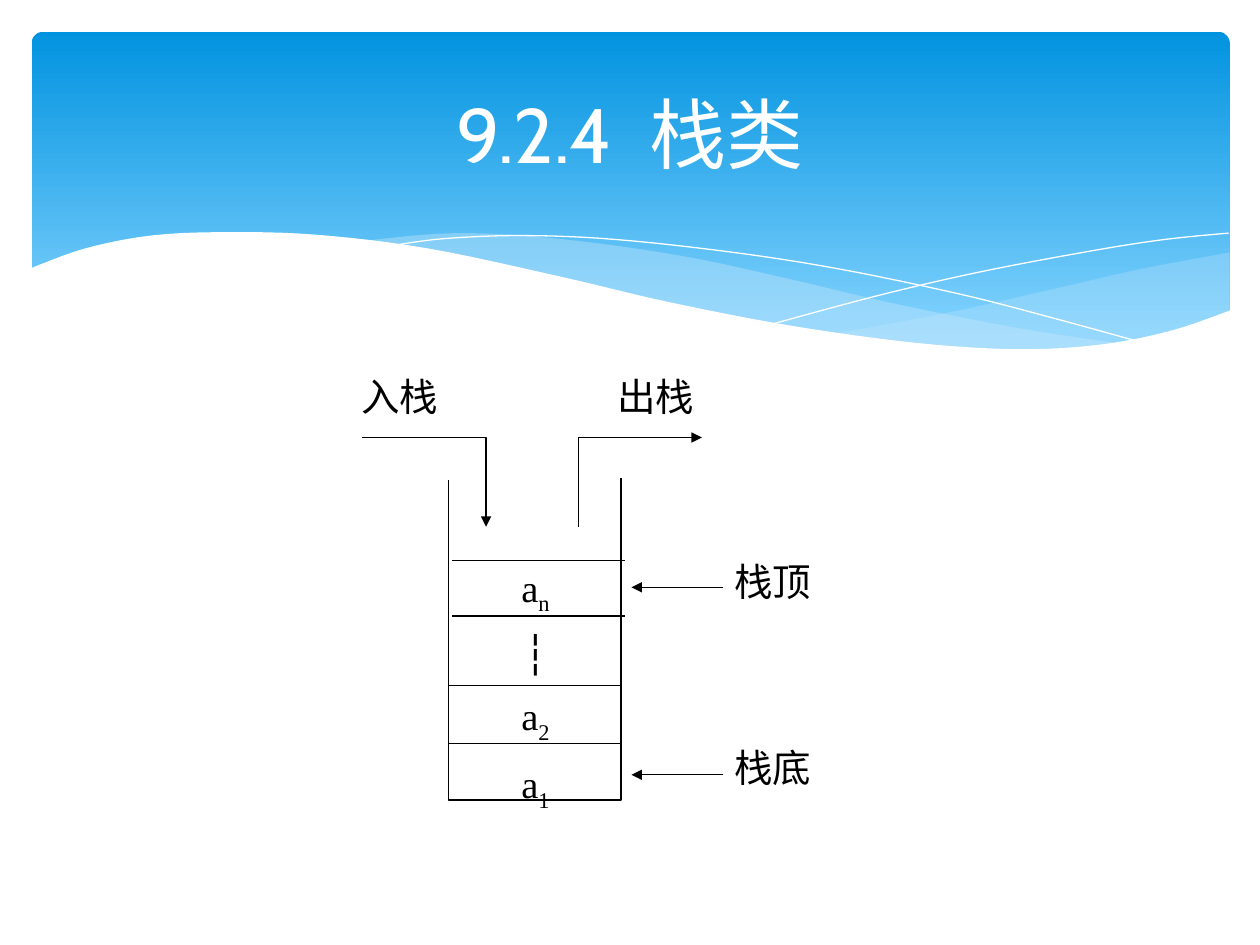
from lxml.etree import SubElement
from pptx import Presentation
from pptx.dml.color import RGBColor
from pptx.enum.shapes import MSO_CONNECTOR, MSO_SHAPE
from pptx.enum.text import MSO_ANCHOR, PP_ALIGN
from pptx.oxml.ns import qn
from pptx.util import Cm, Pt

COLORS = {"sky": "0293E0", "pale_sky": "83D3FE", "wave": "C6E7FC",
          "white": "FFFFFF", "black": "000000"}

# Wave outlines in cm from the banner's top left corner
RIGHT_WAVE = (
    [(24.15, 4.45), (22.38, 4.78), (20.5, 5.21), (18.49, 5.66), (16.15, 6.1)],
    [(16.15, 6.1), (17.63, 6.27), (19.76, 6.43), (21.51, 6.32), (22.94, 6.05), (24.15, 5.64)])
MIDDLE_WAVE = (
    [(22.05, 6.3), (19.86, 5.97), (17.3, 5.46), (15.34, 5), (13.11, 4.52),
     (10.59, 4.17), (8.53, 4.06), (6.63, 4.22)],
    [(6.63, 4.22), (8.56, 4.52), (10.77, 5), (13.74, 5.66), (16.26, 6.12),
     (18.36, 6.38), (20.14, 6.43), (22.05, 6.3)])
FALLING_LINE = [(7.21, 4.32), (8.33, 4.17), (9.93, 4.11), (11.79, 4.19), (14.15, 4.45),
                (16.26, 4.78), (18.67, 5.28), (20.47, 5.74), (22.4, 6.27)]
RISING_LINE = [(14.94, 5.89), (17.02, 5.33), (19.08, 4.85), (21.36, 4.42),
               (22.83, 4.19), (24.13, 4.06)]
WHITE_EDGE = [(24.18, 5.61), (22.99, 6.02), (21.59, 6.3), (19.91, 6.4), (17.81, 6.27),
              (15.27, 5.92), (12.8, 5.44), (10.72, 4.95), (8, 4.37), (5.72, 4.09),
              (3.86, 4.04), (2.39, 4.11), (1.07, 4.37), (-0.05, 4.78)]
WHITE_BASE = [(-0.05, 7.72), (24.18, 7.72)]


def rgb(name):
    return RGBColor.from_string(COLORS[name])


def smooth(points, steps=6):
    """Catmull-Rom curve through the points."""
    ends = [points[0], *points, points[-1]]
    curve = [points[0]]
    for a, b, c, d in zip(ends, ends[1:], ends[2:], ends[3:]):
        for i in range(1, steps + 1):
            t = i / steps
            curve.append(tuple(
                (2 * q + (r - p) * t + (2 * p - 5 * q + 4 * r - s) * t ** 2
                 + (3 * q - p - 3 * r + s) * t ** 3) / 2
                for p, q, r, s in zip(a, b, c, d)))
    return curve


def set_line(sp, color, width, arrow=False):
    sp.line.color.rgb = rgb(color)
    sp.line.width = Pt(width)
    if arrow:
        SubElement(sp.line._get_or_add_ln(), qn("a:tailEnd"), type="triangle")


def add_outline(s, left, top, points, fill=None, alpha=None, line=None, width=0.75, arrow=False):
    """Closed area if filled, otherwise an open line."""
    pts = [(Cm(left + x), Cm(top + y)) for x, y in points]
    builder = s.shapes.build_freeform(*pts[0])
    builder.add_line_segments(pts[1:], close=fill is not None)
    sp = builder.convert_to_shape()
    sp.shadow.inherit = False
    if fill:
        sp.fill.solid()
        sp.fill.fore_color.rgb = rgb(fill)
        if alpha:
            clr = sp.fill._xPr.find(".//" + qn("a:srgbClr"))
            SubElement(clr, qn("a:alpha"), val=str(alpha * 1000))
    else:
        sp.fill.background()
    if line:
        set_line(sp, line, width, arrow)
    else:
        sp.line.fill.background()


def add_line(s, x1, y1, x2, y2, arrow=False):
    c = s.shapes.add_connector(MSO_CONNECTOR.STRAIGHT, Cm(x1), Cm(y1), Cm(x2), Cm(y2))
    set_line(c, "black", 0.75, arrow)
    SubElement(c._element.spPr, qn("a:effectLst"))


def add_text(s, left, top, width, height, paragraphs, size=22, font="Times New Roman",
             color="black", align=PP_ALIGN.JUSTIFY, anchor=MSO_ANCHOR.TOP, spacing=None):
    """Each paragraph is a list of (text, run attributes) pairs."""
    tf = s.shapes.add_textbox(Cm(left), Cm(top), Cm(width), Cm(height)).text_frame
    tf.word_wrap = True
    tf.vertical_anchor = anchor
    tf.margin_left = tf.margin_right = tf.margin_top = tf.margin_bottom = 0
    for i, runs in enumerate(paragraphs):
        p = tf.paragraphs[0] if i == 0 else tf.add_paragraph()
        p.alignment = align
        p.line_spacing = spacing
        for text, attrs in runs:
            r = p.add_run()
            r.text = text
            r.font.size = Pt(size)
            r.font.name = font
            r.font.color.rgb = rgb(color)
            for key, value in attrs.items():
                r.font._element.set(key, str(value))


def add_banner(s, left, top, width, height):
    # Gradient panel
    sp = s.shapes.add_shape(MSO_SHAPE.ROUNDED_RECTANGLE, Cm(left), Cm(top), Cm(width), Cm(height))
    sp.adjustments[0] = 0.034
    sp.shadow.inherit = False
    sp.line.fill.background()
    sp.fill.gradient()
    sp.fill.gradient_angle = 270
    for stop, color, position in zip(sp.fill.gradient_stops, ("sky", "pale_sky"), (0, 0.9)):
        stop.color.rgb = rgb(color)
        stop.position = position
    # Waves, thin lines and the white lower edge
    for (upper, lower), alpha in ((RIGHT_WAVE, 29), (MIDDLE_WAVE, 40)):
        add_outline(s, left, top, smooth(upper) + smooth(lower), fill="wave", alpha=alpha)
    for points in (FALLING_LINE, RISING_LINE):
        add_outline(s, left, top, smooth(points), line="white", width=0)
    add_outline(s, left, top, smooth(WHITE_EDGE) + WHITE_BASE, fill="white")
    # Title, with a widened gap after the number
    add_text(s, left + 0.63, top + 0.3, 22.86, 3.48,
             [[("9.2.4", {}), (" ", {"spc": 1100}), ("栈类", {})]],
             size=44, font="Cabin", color="white", align=PP_ALIGN.CENTER,
             anchor=MSO_ANCHOR.MIDDLE)


def add_stack(s, left, top):
    wall_l, wall_r, base = 1.75, 5.23, 8.61
    # Container open at the top
    add_outline(s, left, top, [(wall_l, 2.16), (wall_l, base), (wall_r, base), (wall_r, 2.11)],
                line="black")
    # Elements
    sub = {"baseline": -25000}
    cells = [[("a", {}), (i, sub)] for i in ("n", "2", "1")]
    cells.insert(1, [("┆", {})])
    add_text(s, left + 1.93, top + 3.53, 3.15, 5.05, cells, align=PP_ALIGN.CENTER, spacing=1.3)
    # Dividers
    for y, shift in ((3.78, 0.07), (4.9, 0.07), (6.3, 0), (7.47, 0)):
        add_line(s, left + wall_l + shift, top + y, left + wall_r + shift, top + y)
    # Push and pop arrows
    for bend in ([(0, 1.3), (2.51, 1.3), (2.51, 3.1)], [(4.37, 3.1), (4.37, 1.3), (6.86, 1.3)]):
        add_outline(s, left, top, bend, line="black", arrow=True)
    for x, label in ((0, "入栈"), (5.16, "出栈")):
        add_text(s, left + x, top, 2.39, 1.09, [[(label, {})]])
    # Top and bottom pointers
    for label, arrow_y, label_y in (("栈顶", 4.32, 3.73), ("栈底", 8.1, 7.47)):
        add_line(s, left + 7.29, top + arrow_y, left + 5.44, top + arrow_y, arrow=True)
        add_text(s, left + 7.52, top + label_y, 4.14, 1.17, [[(label, {})]])


def main():
    prs = Presentation()
    prs.slide_width, prs.slide_height = Cm(25.4), Cm(19.05)
    s = prs.slides.add_slide(prs.slide_layouts[6])
    add_banner(s, 0.64, 0.64, 24.15, 6.86)
    add_stack(s, 7.29, 7.52)
    prs.save("out.pptx")


if __name__ == "__main__":
    main()
